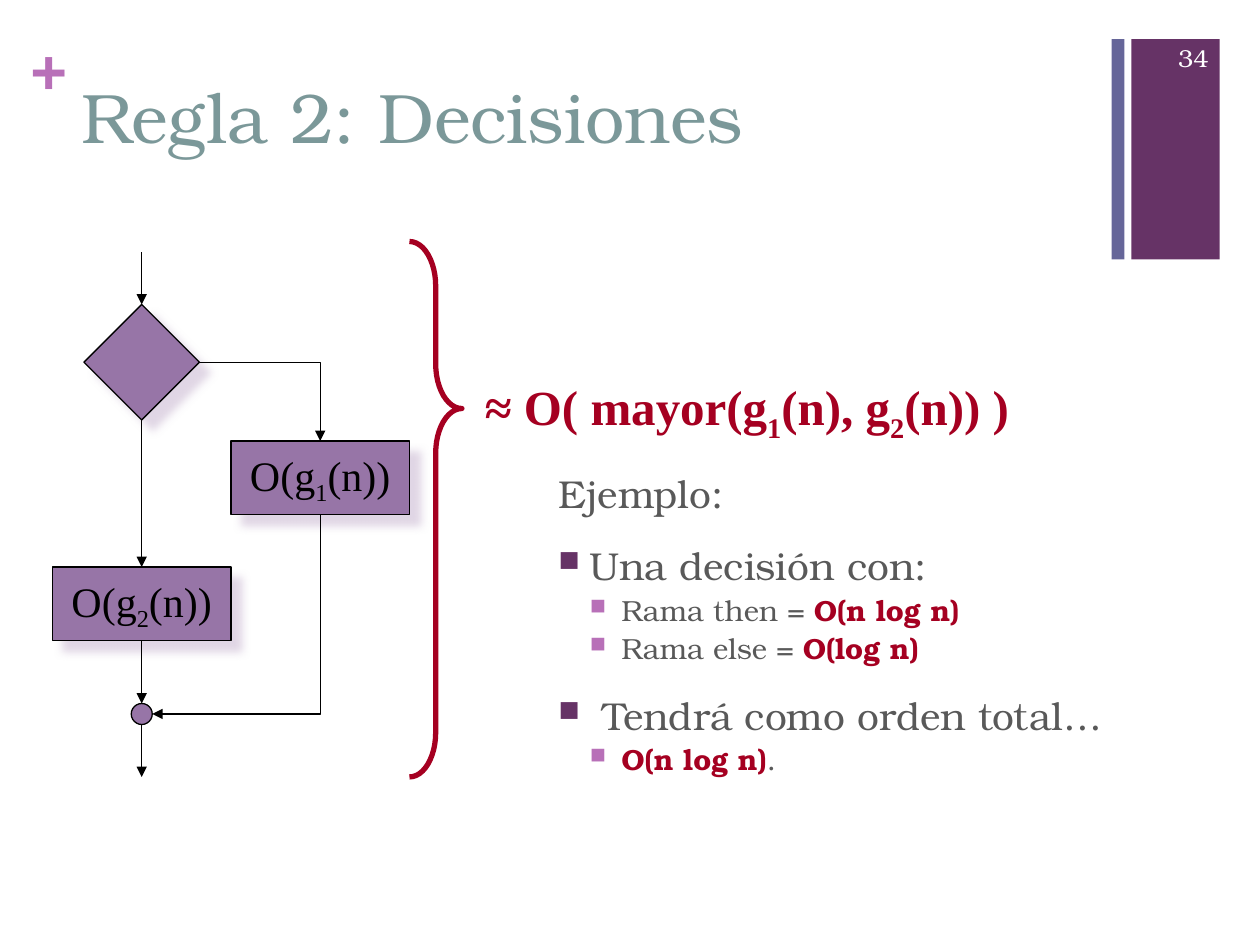
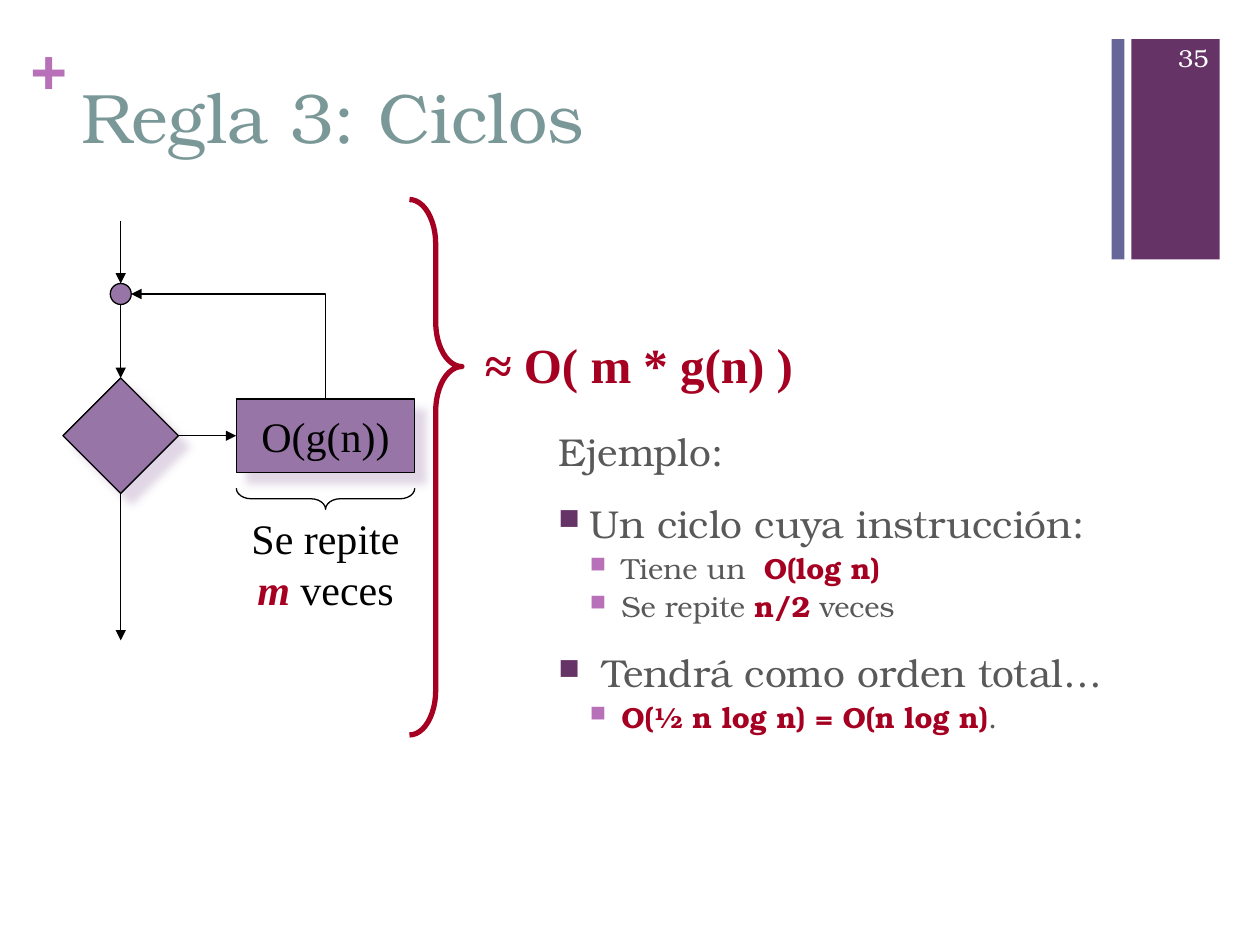
import pptx
import pptx.util
import pptx.dml.color
import pptx.enum.shapes
import pptx.enum.text
import pptx.oxml
import pptx.oxml.ns

Pt = pptx.util.Pt
RGB = pptx.dml.color.RGBColor.from_string
MSO = pptx.enum.shapes.MSO_SHAPE
LINE = pptx.enum.shapes.MSO_CONNECTOR
ANCHOR = pptx.enum.text.MSO_ANCHOR
ALIGN = pptx.enum.text.PP_ALIGN
qn = pptx.oxml.ns.qn
NS = pptx.oxml.ns.nsdecls("a")

COLORS = {
    "purple": "663366", "blue": "666699", "pink": "B870B8", "title": "7B9899",
    "body": "595959", "red": "A50021", "node": "9775A7", "shadow": "C3AFCC",
    "black": "000000", "white": "FFFFFF",
}
SERIF, ROMAN = "TeX Gyre Bonum", "Times New Roman"

SHADOW = (
    f'<a:effectLst {NS}><a:outerShdw blurRad="{Pt(5)}" dist="{Pt(8.5)}" dir="2700000" '
    f'algn="ctr" rotWithShape="0"><a:srgbClr val="{COLORS["shadow"]}">'
    '<a:alpha val="50000"/></a:srgbClr></a:outerShdw></a:effectLst>'
)

# Texts alternate: plain, marked, plain... (marked is a subscript or red bold)
# Nodes: preset, left, top, width, height, text
# Arrows: start x, y, end x, y, way the arrow leaves ("" straight, "h" or "v" elbow)
SLIDES = [
    {
        "number": "34",
        "title": "Regla 2: Decisiones",
        "brace_top": 138,
        "formula": ["≈ O( mayor(g", "1", "(n), g", "2", "(n)) )"],
        "body": [
            (0, ["Una decisión con:"]),
            (1, ["Rama then = ", "O(n log n)"]),
            (1, ["Rama else = ", "O(log n)"]),
            (0, [" Tendrá como orden total…"]),
            (1, ["", "O(n log n)", "."]),
        ],
        "nodes": [
            (MSO.RECTANGLE, 132, 252, 102, 42, ["O(g", "1", "(n))"]),
            (MSO.RECTANGLE, 30, 324, 102, 42, ["O(g", "2", "(n))"]),
            (MSO.DIAMOND, 48, 174, 66, 66, []),
            (MSO.OVAL, 75, 402, 12, 12, []),
        ],
        "arrows": [
            (81, 144, 81, 174, ""), (81, 240, 81, 324, ""),
            (81, 366, 81, 402, ""), (81, 414, 81, 444, ""),
            (114, 207, 183, 252, "h"), (183, 294, 87, 408, "v"),
        ],
    },
    {
        "number": "35",
        "title": "Regla 3: Ciclos",
        "brace_top": 114,
        "formula": ["≈ O( m * g(n) )"],
        "body": [
            (0, ["Un ciclo cuya instrucción:"]),
            (1, ["Tiene un  ", "O(log n)"]),
            (1, ["Se repite ", "n/2", " veces"]),
            (0, [" Tendrá como orden total…"]),
            (1, ["", "O(½ n log n) = O(n log n)", "."]),
        ],
        "nodes": [
            (MSO.RECTANGLE, 135, 228, 102, 42, ["O(g(n))"]),
            (MSO.DIAMOND, 36, 216, 66, 66, []),
            (MSO.OVAL, 63, 162, 12, 12, []),
        ],
        "arrows": [
            (69, 126, 69, 162, ""), (69, 174, 69, 216, ""),
            (69, 282, 69, 366, ""), (102, 249, 135, 249, ""),
            (186, 228, 75, 168, "v"),
        ],
    },
]


def add_runs(p, pieces, size, font, color, bold=False, subscript=False):
    for i, text in enumerate(pieces):
        if not text:
            continue
        marked = i % 2 == 1
        r = p.add_run()
        r.text = text
        r.font.size, r.font.name = Pt(size), font
        r.font.bold = bold or (marked and not subscript)
        red = marked and not subscript
        r.font.color.rgb = RGB(COLORS["red" if red else color])
        if marked and subscript:
            r.font._element.set("baseline", "-25000")


def add_shape(s, preset, left, top, width, height, fill=None, line=None, weight=0.75):
    sp = s.shapes.add_shape(preset, Pt(left), Pt(top), Pt(width), Pt(height))
    sp.shadow.inherit = False
    if fill:
        sp.fill.solid()
        sp.fill.fore_color.rgb = RGB(COLORS[fill])
    else:
        sp.fill.background()
    if line:
        sp.line.color.rgb = RGB(COLORS[line])
        sp.line.width = Pt(weight)
    else:
        sp.line.fill.background()
    return sp


prs = pptx.Presentation()
prs.slide_width, prs.slide_height = Pt(720), Pt(540)

for data in SLIDES:
    s = prs.slides.add_slide(prs.slide_layouts[5])

    # Bands, plus sign and slide number
    add_shape(s, MSO.RECTANGLE, 646.5, 22.3, 50.5, 126, "purple")
    add_shape(s, MSO.RECTANGLE, 635.2, 22.3, 7.3, 126, "blue")
    tf = s.shapes.add_textbox(Pt(17.3), Pt(18), Pt(21), Pt(44)).text_frame
    tf.margin_left = tf.margin_top = tf.margin_right = tf.margin_bottom = 0
    add_runs(tf.paragraphs[0], ["+"], 36, "Arial", "pink", bold=True)
    tf = s.shapes.add_textbox(Pt(653.8), Pt(18.7), Pt(43.9), Pt(28.8)).text_frame
    tf.word_wrap = True
    tf.vertical_anchor = ANCHOR.MIDDLE
    tf.paragraphs[0].alignment = ALIGN.RIGHT
    add_runs(tf.paragraphs[0], [data["number"]], 14, SERIF, "white")

    # Title
    sp = s.shapes.title
    sp.left, sp.top, sp.width, sp.height = Pt(39.6), Pt(38.2), Pt(594.7), Pt(87.8)
    tf = sp.text_frame
    tf.vertical_anchor = ANCHOR.TOP
    tf.paragraphs[0].alignment = ALIGN.LEFT
    add_runs(tf.paragraphs[0], [data["title"]], 40, SERIF, "title")

    # Example with two bullet levels
    top = data["brace_top"]
    tf = s.shapes.add_textbox(Pt(312), Pt(top + 132), Pt(353.5), Pt(185.8)).text_frame
    tf.word_wrap = True
    for i, (level, pieces) in enumerate([(0, ["Ejemplo:"])] + data["body"]):
        p = tf.paragraphs[0] if i == 0 else tf.add_paragraph()
        p.level = level
        p.line_spacing = 0.8
        p.space_before = Pt((20, 6)[level])
        pPr = p._p.get_or_add_pPr()
        pPr.set("marL", str(Pt(18 * (level + 1))))
        pPr.set("indent", str(Pt(-18)))
        if i > 0:
            bullet = COLORS[("purple", "pink")[level]]
            for xml in (f'<a:buClr {NS}><a:srgbClr val="{bullet}"/></a:buClr>',
                        f'<a:buSzPct {NS} val="75000"/>',
                        f'<a:buChar {NS} char="■"/>'):
                pPr.append(pptx.oxml.parse_xml(xml))
        add_runs(p, pieces, (22.2, 16.6)[level], SERIF, "body")

    # Flowchart nodes, with the middle of each side kept for the arrows
    sites = {}
    for preset, x, y, w, h, pieces in data["nodes"]:
        sp = add_shape(s, preset, x, y, w, h, "node", "black")
        if preset != MSO.OVAL:
            sp._element.spPr.remove(sp._element.spPr.find(qn("a:effectLst")))
            sp._element.spPr.append(pptx.oxml.parse_xml(SHADOW))
            middles = [(x + w / 2, y), (x, y + h / 2), (x + w / 2, y + h), (x + w, y + h / 2)]
            sites.update({point: (sp, i) for i, point in enumerate(middles)})
        if pieces:
            tf = sp.text_frame
            tf.word_wrap = False
            tf.vertical_anchor = ANCHOR.MIDDLE
            tf.paragraphs[0].alignment = ALIGN.CENTER
            add_runs(tf.paragraphs[0], pieces, 24, ROMAN, "black", subscript=True)

    # Arrows
    for x1, y1, x2, y2, way in data["arrows"]:
        ends = [x1, y1, x2, y2]
        if way == "v":  # an elbow leaving vertically is a turned horizontal one
            cx, cy = (x1 + x2) / 2, (y1 + y2) / 2
            dx, dy = (y2 - y1) / 2, (x1 - x2) / 2
            ends = [cx - dx, cy - dy, cx + dx, cy + dy]
        c = s.shapes.add_connector(LINE.ELBOW if way else LINE.STRAIGHT, *map(Pt, ends))
        spPr = c._element.spPr
        if way:
            spPr.find(qn("a:prstGeom")).set("prst", "bentConnector2")
            c.rotation = 90 if way == "v" else 0
        else:
            if (x1, y1) in sites:
                c.begin_connect(*sites[x1, y1])
            if (x2, y2) in sites:
                c.end_connect(*sites[x2, y2])
        c.line.color.rgb = RGB(COLORS["black"])
        c.line.width = Pt(0.75)
        c.line._get_or_add_ln().append(pptx.oxml.parse_xml(f'<a:tailEnd {NS} type="triangle"/>'))
        spPr.append(pptx.oxml.parse_xml(f"<a:effectLst {NS}/>"))

    # Brace and resulting order
    sp = add_shape(s, MSO.RIGHT_BRACE, 234, top, 30, 306, line="red", weight=3)
    sp.adjustments[0], sp.adjustments[1] = 0.85, 0.312
    tf = s.shapes.add_textbox(Pt(270), Pt(top + 73.8), Pt(318), Pt(41)).text_frame
    tf.word_wrap = False
    add_runs(tf.paragraphs[0], data["formula"], 28, ROMAN, "red", bold=True, subscript=True)

# Repetition note under the loop's instruction
sp = add_shape(s, MSO.RIGHT_BRACE, 180, 234, 12, 102, line="black")
sp.adjustments[0], sp.adjustments[1] = 0.708, 0.5
sp.rotation = 90
tf = s.shapes.add_textbox(Pt(132), Pt(289.5), Pt(108), Pt(65)).text_frame
tf.word_wrap = True
p = tf.paragraphs[0]
p.alignment = ALIGN.CENTER
add_runs(p, ["Se repite ", "m", " veces"], 24, ROMAN, "black")
p.runs[1].font.italic = True

prs.save("out.pptx")
